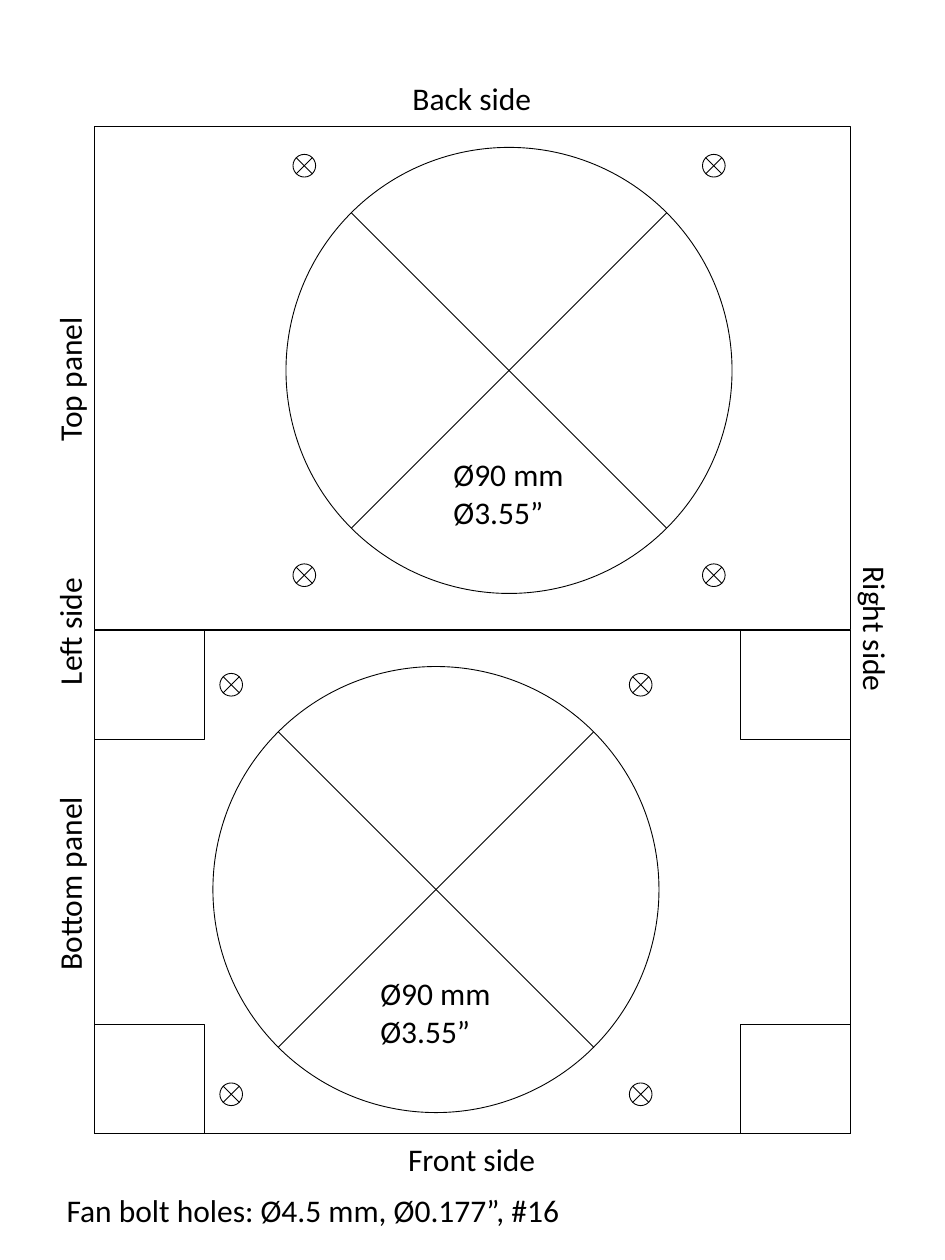
from dataclasses import dataclass
from itertools import product

from lxml.etree import SubElement
from pptx import Presentation
from pptx.dml.color import RGBColor
from pptx.enum.shapes import MSO_CONNECTOR as Connector, MSO_SHAPE as Shape
from pptx.enum.text import MSO_AUTO_SIZE as AutoSize
from pptx.oxml.ns import qn
from pptx.util import Inches, Pt


@dataclass(frozen=True)
class Theme:
    """Colours, type and line sizes of the drilling template."""
    ink: RGBColor = RGBColor(0, 0, 0)
    font: str = "Calibri"
    text_size: Pt = Pt(18)
    line_width: Pt = Pt(0.5)


@dataclass(frozen=True)
class Box:
    """A rectangle on the slide."""
    left: int
    top: int
    width: int
    height: int


THEME = Theme()
PANEL_WIDTH, PANEL_HEIGHT = Inches(6), Inches(4)
FAN_DIAMETER = Inches(3.54)
FAN_CROSS = Inches(2.5)
BOLT_PITCH = Inches(3.25)
BOLT_DIAMETER = Inches(0.18)
BOLT_CROSS = Inches(0.13)
CUTOUT = Inches(0.87)
LABEL_HEIGHT = Inches(0.4)


def inch_box(left, top, width, height):
    """Return a box from lengths in inches."""
    return Box(Inches(left), Inches(top), Inches(width), Inches(height))


def draw_outline(shapes, preset, box):
    """Draw an unfilled preset shape in the box."""
    outline = shapes.add_shape(preset, box.left, box.top, box.width, box.height)
    outline.shadow.inherit = False
    outline.fill.background()
    outline.line.color.rgb = THEME.ink
    outline.line.width = THEME.line_width


def draw_line(shapes, start, end):
    """Draw a thin straight line between two points."""
    line = shapes.add_connector(Connector.STRAIGHT, *start, *end)
    line.line.color.rgb = THEME.ink
    line.line.width = THEME.line_width
    SubElement(line._element.spPr, qn("a:effectLst"))


def draw_hole(shapes, x, y, diameter, cross):
    """Draw a circle centred on a point, with a diagonal cross."""
    radius, arm = diameter // 2, cross // 2
    draw_outline(shapes, Shape.OVAL, Box(x - radius, y - radius, diameter, diameter))
    for rise in (arm, -arm):
        draw_line(shapes, (x - arm, y - rise), (x + arm, y + rise))


def write_label(shapes, box, *lines, rotation=0):
    """Write lines of text in a box that grows with them."""
    label = shapes.add_textbox(box.left, box.top, box.width, box.height)
    label.rotation = rotation
    frame = label.text_frame
    frame.word_wrap = False
    frame.auto_size = AutoSize.SHAPE_TO_FIT_TEXT
    for index, line in enumerate(lines):
        paragraph = frame.add_paragraph() if index else frame.paragraphs[0]
        run = paragraph.add_run()
        run.text = line
        run.font.name = THEME.font
        run.font.size = THEME.text_size
        run.font.color.rgb = THEME.ink


def draw_panel(shapes, box, fan_x, fan_y):
    """Draw a panel with a fan opening, four bolt holes and the fan size."""
    panel = shapes.add_group_shape().shapes
    x, y = box.left + fan_x, box.top + fan_y
    draw_outline(panel, Shape.RECTANGLE, box)
    draw_hole(panel, x, y, FAN_DIAMETER, FAN_CROSS)
    for side_x, side_y in product((-1, 1), repeat=2):
        draw_hole(panel, x + side_x * BOLT_PITCH // 2, y + side_y * BOLT_PITCH // 2,
                  BOLT_DIAMETER, BOLT_CROSS)
    fan_size = Box(x - Inches(0.54), y + Inches(0.62), Inches(1.09), Inches(0.71))
    write_label(shapes, fan_size, "Ø90 mm", "Ø3.55”")


def draw_cutouts(shapes, box):
    """Draw a square in each corner of the panel box."""
    lefts = (box.left, box.left + box.width - CUTOUT)
    tops = (box.top, box.top + box.height - CUTOUT)
    for left, top in product(lefts, tops):
        draw_outline(shapes, Shape.RECTANGLE, Box(left, top, CUTOUT, CUTOUT))


def label_edges(shapes, box):
    """Name the sides and panels around the box that holds both panels."""
    middle_x = box.left + box.width // 2
    left_x = box.left - Inches(0.2)
    right_x = box.left + box.width + Inches(0.2)
    middle_y = box.top + box.height // 2
    bottom = box.top + box.height
    edges = (
        ("Back side", middle_x, box.top - Inches(0.22), 1.15, 0),
        ("Front side", middle_x, bottom + Inches(0.2), 1.22, 0),
        ("Left side", left_x, middle_y, 1.07, 270),
        ("Right side", right_x, middle_y, 1.2, 90),
        ("Top panel", left_x, box.top + PANEL_HEIGHT // 2, 1.2, 270),
        ("Bottom panel", left_x, bottom - PANEL_HEIGHT // 2, 1.6, 270),
    )
    for name, x, y, length, rotation in edges:
        width = Inches(length)
        place = Box(x - width // 2, y - LABEL_HEIGHT // 2, width, LABEL_HEIGHT)
        write_label(shapes, place, name, rotation=rotation)


def main():
    """Build the one-slide drilling template."""
    deck = Presentation()
    deck.slide_width, deck.slide_height = Inches(7.5), Inches(10)
    shapes = deck.slides.add_slide(deck.slide_layouts[6]).shapes
    sheet = Box(Inches(0.75), Inches(1), PANEL_WIDTH, 2 * PANEL_HEIGHT)
    top_panel = Box(sheet.left, sheet.top, PANEL_WIDTH, PANEL_HEIGHT)
    bottom_panel = Box(sheet.left, sheet.top + PANEL_HEIGHT, PANEL_WIDTH, PANEL_HEIGHT)
    fan_x, fan_y = Inches(2.71), Inches(2.06)

    label_edges(shapes, sheet)
    draw_panel(shapes, top_panel, PANEL_WIDTH - fan_x, PANEL_HEIGHT - fan_y)
    draw_panel(shapes, bottom_panel, fan_x, fan_y)
    write_label(shapes, inch_box(0.43, 9.4, 4.16, 0.4),
                "Fan bolt holes: Ø4.5 mm, Ø0.177”, #16")
    draw_cutouts(shapes, bottom_panel)
    deck.save("out.pptx")


if __name__ == "__main__":
    main()
